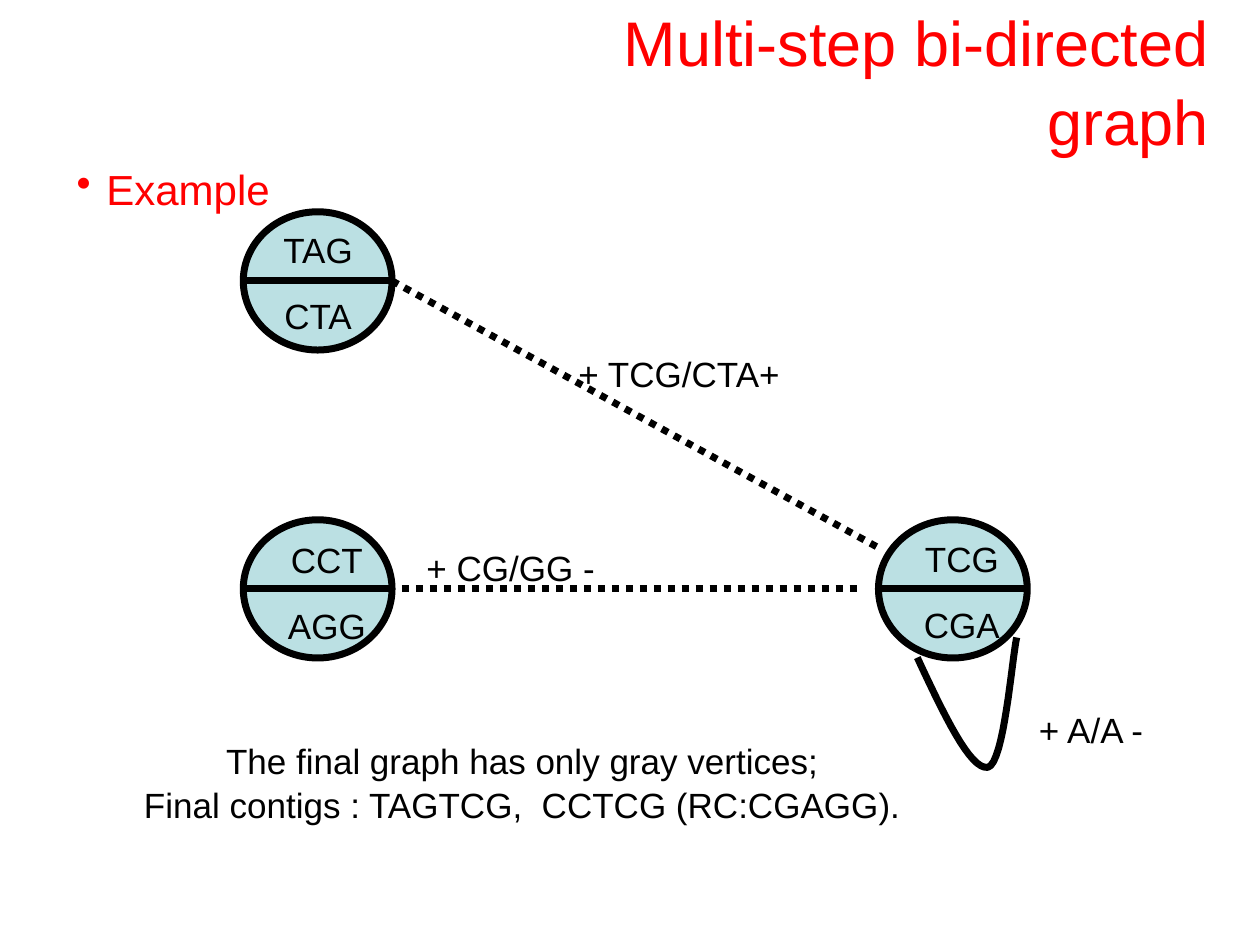
from lxml import etree
from pptx import Presentation
from pptx import util as u
from pptx.dml import color
from pptx.enum import dml, shapes, text
from pptx.oxml import ns

RED = color.RGBColor(0xFF, 0x00, 0x00)
BLACK = color.RGBColor(0x00, 0x00, 0x00)
PALE_BLUE = color.RGBColor(0xBB, 0xE0, 0xE3)

NODE_WIDTH, NODE_HEIGHT = 85, 79
LABEL_WIDTH, LABEL_HEIGHT = 62.6, 67.7


def apply(target, values):
    for name, value in values.items():
        setattr(target, name, value)


class GraphPage:
    """Style and current slide, with one method per kind of element."""

    font = {"name": "Arial", "size": u.Pt(20)}
    frame = {
        "margin_left": u.Pt(7.2), "margin_right": u.Pt(7.2),
        "margin_top": u.Pt(3.6), "margin_bottom": u.Pt(3.6),
        "word_wrap": True, "auto_size": text.MSO_AUTO_SIZE.NONE,
    }
    para = {"alignment": text.PP_ALIGN.CENTER, "line_spacing": 1.05}
    stroke = u.Pt(4)

    def __init__(self, page):
        self.page = page

    def label(self, lines, left, top, width, height, ink=BLACK, gap=0,
              bullet=False, frame=None, para=None, font=None):
        box = self.page.shapes.add_textbox(*map(u.Pt, (left, top, width, height)))
        apply(box.text_frame, {**self.frame, **(frame or {})})
        for index, line in enumerate(lines):
            item = box.text_frame.paragraphs[0] if index == 0 else box.text_frame.add_paragraph()
            if bullet:
                self.add_bullet(item, ink)
            apply(item, {**self.para, **(para or {})})
            if index and gap:
                item.space_before = u.Pt(gap)
            span = item.add_run()
            span.text = line
            apply(span.font, {**self.font, **(font or {})})
            span.font.color.rgb = ink

    def add_bullet(self, item, ink, indent=17):
        props = item._p.get_or_add_pPr()
        props.set("marL", str(u.Pt(indent)))
        props.set("indent", str(-u.Pt(indent)))
        tint = etree.SubElement(props, ns.qn("a:buClr"))
        etree.SubElement(tint, ns.qn("a:srgbClr"), val=str(ink))
        etree.SubElement(props, ns.qn("a:buChar"), char="•")

    def outline(self, shape):
        shape.line.color.rgb = BLACK
        shape.line.width = self.stroke

    def line(self, start, end, dotted=False):
        edge = self.page.shapes.add_connector(
            shapes.MSO_CONNECTOR.STRAIGHT, *map(u.Pt, (*start, *end)))
        self.outline(edge)
        if dotted:
            edge.line.dash_style = dml.MSO_LINE.ROUND_DOT
        etree.SubElement(edge._element.spPr, ns.qn("a:effectLst"))

    def node(self, strands, left, top, label_left, label_top):
        oval = self.page.shapes.add_shape(
            shapes.MSO_SHAPE.OVAL, *map(u.Pt, (left, top, NODE_WIDTH, NODE_HEIGHT)))
        oval.shadow.inherit = False
        oval.fill.solid()
        oval.fill.fore_color.rgb = PALE_BLUE
        self.outline(oval)
        self.label(strands, label_left, label_top, LABEL_WIDTH, LABEL_HEIGHT, gap=12.5)
        middle = top + NODE_HEIGHT / 2
        self.line((left, middle), (left + NODE_WIDTH, middle))

    def curve(self, start, *segments, steps=16):
        """Draw joined cubic Bezier segments as one open outline."""
        points, origin = [], start
        for first, second, end in segments:
            for step in range(1, steps + 1):
                t = step / steps
                weights = ((1 - t) ** 3, 3 * t * (1 - t) ** 2, 3 * t * t * (1 - t), t ** 3)
                axes = zip(origin, first, second, end)
                points.append(tuple(
                    u.Pt(sum(w * value for w, value in zip(weights, axis)))
                    for axis in axes))
            origin = end
        builder = self.page.shapes.build_freeform(*map(u.Pt, start))
        builder.add_line_segments(points, close=False)
        loop = builder.convert_to_shape()
        loop.shadow.inherit = False
        loop.fill.background()
        self.outline(loop)


def main():
    deck = Presentation()
    deck.slide_width, deck.slide_height = u.Pt(720), u.Pt(540)
    graph = GraphPage(deck.slides.add_slide(deck.slide_layouts[6]))

    # Title
    graph.label(["Multi-step bi-directed graph"], 337.7, 16.5, 360, 57, ink=RED,
                frame={"vertical_anchor": text.MSO_ANCHOR.MIDDLE},
                para={"alignment": text.PP_ALIGN.RIGHT}, font={"size": u.Pt(36)})

    # Vertices, each with a strand and its reverse complement
    graph.node(["TCG", "CGA"], 502, 297, 518.4, 302.4)
    graph.node(["TAG", "CTA"], 139, 121, 150.5, 126)
    graph.node(["CCT", "AGG"], 139, 297, 155.5, 303)

    # Edges and their labels
    graph.label(["+ TCG/CTA+"], 308.9, 196.6, 158.4, 31.7)
    graph.line((224, 160.5), (502, 313), dotted=True)
    graph.label(["+ CG/GG -"], 235.4, 307.4, 113, 31.7)
    graph.line((229.7, 336.25), (490.3, 336.25), dotted=True)
    graph.label(["+ A/A -"], 581, 400.3, 85, 31.7)
    graph.curve((524.2, 375.8),
                ((539.3, 408.2), (554.4, 440), (564.5, 438.5)),
                ((573.8, 436.3), (578.2, 376.6), (581, 364.3)))

    # Conclusion
    graph.label(["The final graph has only gray vertices;",
                 "Final contigs : TAGTCG,  CCTCG (RC:CGAGG)."],
                71.3, 417.6, 454.3, 55.4, frame={"word_wrap": False})

    # Section bullet
    graph.label(["Example"], 36.7, 88.6, 663, 45.4, ink=RED, bullet=True,
                para={"alignment": text.PP_ALIGN.LEFT}, font={"size": u.Pt(24)})

    deck.save("out.pptx")


if __name__ == "__main__":
    main()
